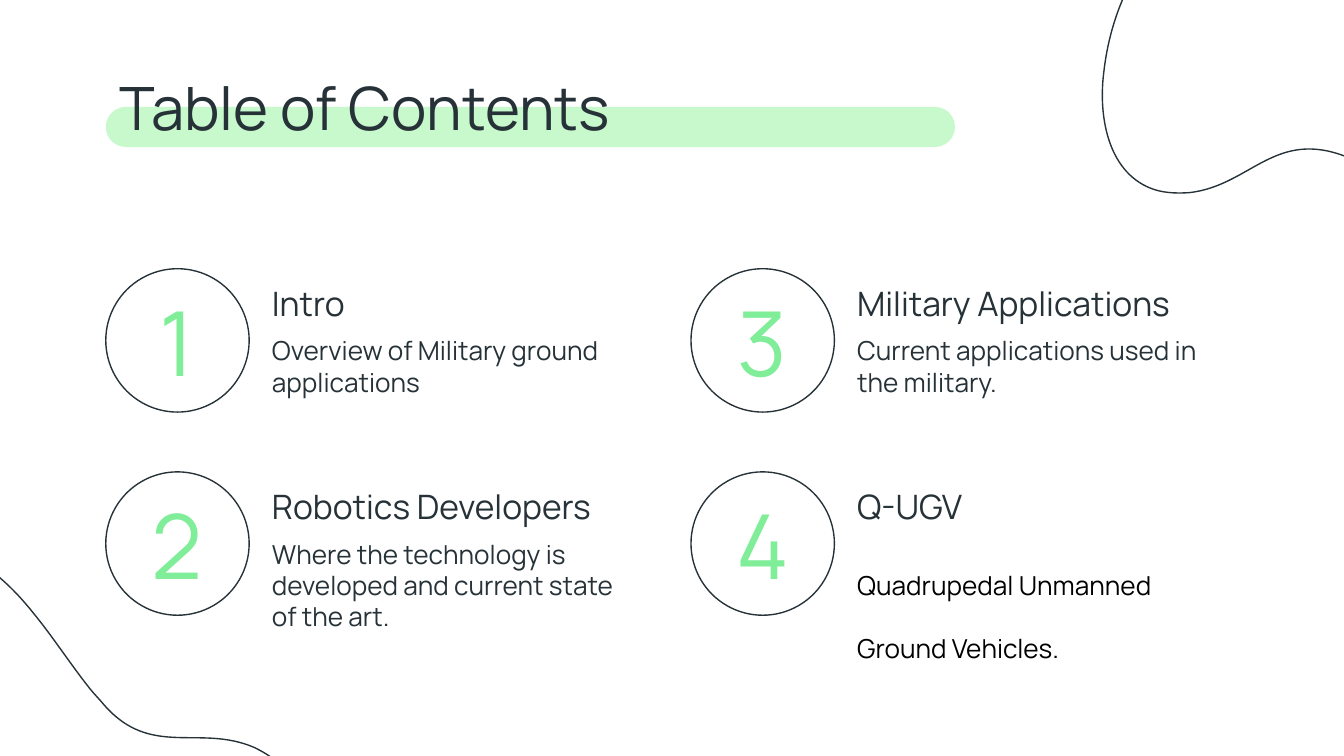
import math

from lxml import etree
from pptx import Presentation
from pptx import util as u
from pptx.dml.color import RGBColor
from pptx.enum import shapes, text
from pptx.oxml import ns

INK = RGBColor(0x26, 0x32, 0x38)
BLACK = RGBColor(0x00, 0x00, 0x00)
GREEN = RGBColor(0x80, 0xED, 0x99)
PALE_GREEN = RGBColor(0xC7, 0xF9, 0xCC)
FONT = "Manrope"

deck = Presentation()
deck.slide_width, deck.slide_height = u.Cm(25.4), u.Cm(14.29)
page = deck.slides.add_slide(deck.slide_layouts[6])


def add_text(words, left, top, width, height, size, color,
             align=text.PP_ALIGN.LEFT, anchor=text.MSO_ANCHOR.TOP, spacing=None):
    box = page.shapes.add_textbox(u.Cm(left), u.Cm(top), u.Cm(width), u.Cm(height))
    frame = box.text_frame
    frame.word_wrap = True
    frame.vertical_anchor = anchor
    frame.margin_left = frame.margin_right = u.Cm(0.25)
    frame.margin_top = frame.margin_bottom = u.Cm(0.25)
    para = frame.paragraphs[0]
    para.alignment = align
    para.line_spacing = spacing
    span = para.add_run()
    span.text = words
    span.font.name = FONT
    span.font.size = u.Pt(size)
    span.font.color.rgb = color


def outline(shape):
    shape.shadow.inherit = False
    shape.fill.background()
    shape.line.color.rgb = INK
    shape.line.width = u.Pt(0.75)


# Highlight bar behind the title
bar = page.shapes.add_shape(shapes.MSO_SHAPE.ROUNDED_RECTANGLE,
                            u.Cm(2), u.Cm(2.02), u.Cm(16.05), u.Cm(0.76))
bar.adjustments[0] = 0.5
bar.shadow.inherit = False
bar.fill.solid()
bar.fill.fore_color.rgb = PALE_GREEN
bar.line.fill.background()

# Blob: start point, then two controls and an end for each curve,
# in cm from its centre, as it lies in the top right corner
BLOB = [
    (-4.62, 2.63),
    (-4.42, 2.71), (-4.17, 2.73), (-3.89, 2.71),
    (-2.77, 2.58), (-2.31, 1.56), (-1.04, 1.99),
    (-0.91, 2.04), (-0.79, 2.07), (-0.66, 2.12),
    (-0.08, 2.35), (0.46, 2.63), (0.99, 2.83),
    (1.65, 3.09), (2.31, 3.24), (3.15, 3.11),
    (4.6, 2.93), (5.21, 2.07), (5.38, 0.88),
    (5.74, -1.21), (4.42, -2.73), (2.51, -3.47),
    (1.7, -3.77), (0.79, -3.92), (-0.15, -3.92),
    (-3.15, -3.92), (-5.23, -2.1), (-5.51, 0.44),
    (-5.61, 1.21), (-5.46, 2.3), (-4.62, 2.63),
]
BLOB_WIDTH, BLOB_HEIGHT, BLOB_TURN = u.Cm(11.23), u.Cm(8.26), 201

# Points of the upright blob, measured from the corner of its box
cos, sin = math.cos(math.radians(BLOB_TURN)), math.sin(math.radians(BLOB_TURN))
upright = [(BLOB_WIDTH // 2 + u.Cm(x * cos + y * sin),
            BLOB_HEIGHT // 2 + u.Cm(y * cos - x * sin)) for x, y in BLOB]

# The same blob in two corners
for center_x, center_y, turn in [(26.37, 0.93, BLOB_TURN), (0.08, 14.54, 50.9)]:
    builder = page.shapes.build_freeform(*upright[0])
    builder.add_line_segments(upright[3::3], close=True)
    blob = builder.convert_to_shape()
    outline(blob)
    blob.left = u.Cm(center_x) - BLOB_WIDTH // 2
    blob.top = u.Cm(center_y) - BLOB_HEIGHT // 2
    blob.width, blob.height, blob.rotation = BLOB_WIDTH, BLOB_HEIGHT, turn

    # Bend the straight segments into curves
    track = blob.element.xpath(".//a:path")[0]
    track.set("w", str(BLOB_WIDTH))
    track.set("h", str(BLOB_HEIGHT))
    start = track.xpath("./a:moveTo/a:pt")[0]
    start.set("x", str(upright[0][0]))
    start.set("y", str(upright[0][1]))
    for index, segment in enumerate(track.xpath("./a:lnTo")):
        curve = etree.Element(ns.qn("a:cubicBezTo"))
        for x, y in upright[3 * index + 1:3 * index + 4]:
            etree.SubElement(curve, ns.qn("a:pt"), x=str(x), y=str(y))
        track.replace(segment, curve)

# Title
add_text("Table of Contents", 2.01, 1.08, 21.41, 1.7, 32, INK)

# Numbered topics, filled column by column:
# heading, heading width, description, description colour, line spacing
TOPICS = [
    ("Intro", 7.44, "Overview of Military ground applications", INK, None),
    ("Robotics Developers", 7.44,
     "Where the technology is developed and current state of the art.", INK, None),
    ("Military Applications", 9.14,
     "Current applications used in the military.", INK, None),
    ("Q-UGV", 7.44, "Quadrupedal Unmanned Ground Vehicles.", BLACK, 2.0),
]
for index, (heading, width, description, color, spacing) in enumerate(TOPICS):
    column, row = divmod(index, 2)
    left, top = 2 + column * 11.06, 5.08 + row * 3.84
    circle = page.shapes.add_shape(shapes.MSO_SHAPE.OVAL, u.Cm(left), u.Cm(top),
                                   u.Cm(2.71), u.Cm(2.71))
    outline(circle)
    add_text(str(index + 1), left + 0.12, top + 0.38, 2.46, 1.96, 48, GREEN,
             text.PP_ALIGN.CENTER, text.MSO_ANCHOR.MIDDLE)
    add_text(heading, left + 2.89, top + 0.02, width, 1.04, 18, INK)
    add_text(description, left + 2.89, top + 1, 7.44, 1.7, 14, color, spacing=spacing)

deck.save("out.pptx")
